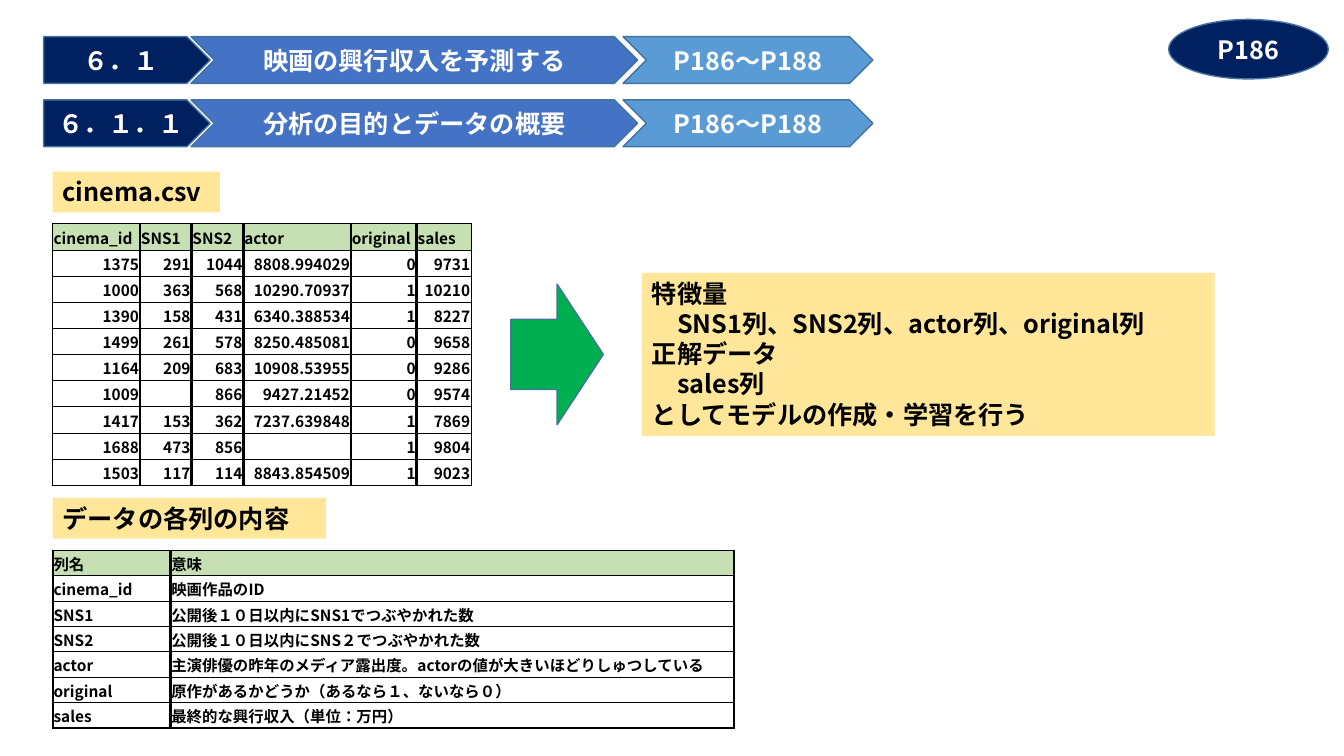
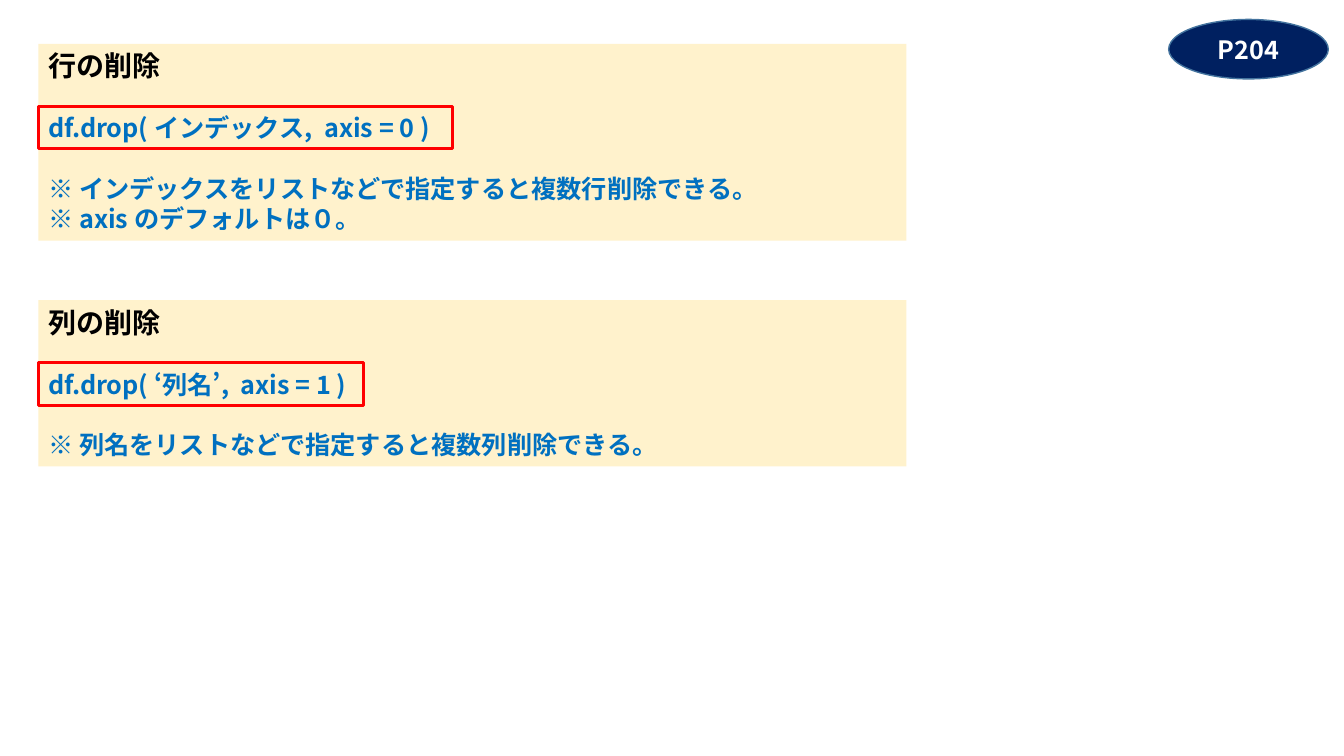
"""Build two slides on predicting film revenue and dropping DataFrame rows or columns."""
from dataclasses import dataclass

from lxml import etree
from pptx import Presentation
from pptx.dml.color import RGBColor
from pptx.enum.lang import MSO_LANGUAGE_ID
from pptx.enum.shapes import MSO_SHAPE
from pptx.enum.text import MSO_ANCHOR, PP_ALIGN
from pptx.oxml.ns import qn
from pptx.util import Pt

RECT, OVAL, ARROW = MSO_SHAPE.RECTANGLE, MSO_SHAPE.OVAL, MSO_SHAPE.RIGHT_ARROW
PLATE, CHEVRON = MSO_SHAPE.PENTAGON, MSO_SHAPE.CHEVRON
LEFT, CENTER, RIGHT = PP_ALIGN.LEFT, PP_ALIGN.CENTER, PP_ALIGN.RIGHT
TOP, MIDDLE = MSO_ANCHOR.TOP, MSO_ANCHOR.MIDDLE
JAPANESE = MSO_LANGUAGE_ID.JAPANESE


@dataclass(frozen=True)
class Theme:
    font: str = "Noto Sans CJK JP"
    black: str = "000000"
    white: str = "FFFFFF"
    navy: str = "002060"
    blue: str = "4472C4"
    sky: str = "5B9BD5"
    outline: str = "43739E"
    label: str = "FFE699"
    panel: str = "FFF2CC"
    header: str = "C6E0B4"
    green: str = "00B050"
    red: str = "FF0000"
    code: str = "0070C0"
    heading: int = 20
    body: int = 18
    cell: int = 11


T = Theme()


def add_text(p, text, size, color, align=LEFT):
    """Add one bold Japanese run to a paragraph."""
    p.alignment = align
    r = p.add_run()
    r.text = text
    r.font.size, r.font.bold, r.font.name = Pt(size), True, T.font
    r.font.language_id = JAPANESE
    r.font.color.rgb = RGBColor.from_string(color)
    etree.SubElement(r._r.get_or_add_rPr(), qn("a:ea"), typeface=T.font)


def add_box(s, kind, box, fill=None, line=None, weight=1, lines=(),
            color=T.black, align=LEFT, anchor=TOP):
    """Add a preset shape, with one body-size paragraph per line."""
    sp = s.shapes.add_shape(kind, *map(Pt, box))
    sp.shadow.inherit = False
    if fill:
        sp.fill.solid()
        sp.fill.fore_color.rgb = RGBColor.from_string(fill)
    else:
        sp.fill.background()
    if line:
        sp.line.color.rgb = RGBColor.from_string(line)
        sp.line.width = Pt(weight)
    else:
        sp.line.fill.background()
    tf = sp.text_frame
    tf.word_wrap, tf.vertical_anchor = True, anchor
    for i, text in enumerate(lines):
        p = tf.add_paragraph() if i else tf.paragraphs[0]
        add_text(p, text, T.body, color, align)
    return sp


prs = Presentation()
prs.slide_width, prs.slide_height = Pt(960), Pt(540)
slides = []
for page in ("P186", "P204"):
    s = prs.slides.add_slide(prs.slide_layouts[6])
    add_box(s, OVAL, (834.8, 13.9, 114, 42.5), T.navy, T.outline,
            lines=[page], color=T.white, align=CENTER, anchor=MIDDLE)
    slides.append(s)
overview, drops = slides

band_parts = [
    (PLATE, 31.2, 119, T.navy),
    (CHEVRON, 136.5, 319, T.blue),
    (CHEVRON, 445, 178.5, T.sky),
]
bands = [
    (26.2, ("６．１", "映画の興行収入を予測する", "P186～P188")),
    (71.4, ("６．１．１", "分析の目的とデータの概要", "P186～P188")),
]
for y, texts in bands:
    for (kind, x, w, fill), text in zip(band_parts, texts):
        add_box(overview, kind, (x, y, w, 33.4), fill, T.outline,
                lines=[text], color=T.white, align=CENTER, anchor=MIDDLE)

cinema_rows = [
    ("cinema_id", "SNS1", "SNS2", "actor", "original", "sales"),
    ("1375", "291", "1044", "8808.994029", "0", "9731"),
    ("1000", "363", "568", "10290.70937", "1", "10210"),
    ("1390", "158", "431", "6340.388534", "1", "8227"),
    ("1499", "261", "578", "8250.485081", "0", "9658"),
    ("1164", "209", "683", "10908.53955", "0", "9286"),
    ("1009", "", "866", "9427.21452", "0", "9574"),
    ("1417", "153", "362", "7237.639848", "1", "7869"),
    ("1688", "473", "856", "", "1", "9804"),
    ("1503", "117", "114", "8843.854509", "1", "9023"),
]
column_rows = [
    ("列名", "意味"),
    ("cinema_id", "映画作品のID"),
    ("SNS1", "公開後１０日以内にSNS1でつぶやかれた数"),
    ("SNS2", "公開後１０日以内にSNS２でつぶやかれた数"),
    ("actor", "主演俳優の昨年のメディア露出度。actorの値が大きいほどりしゅつしている"),
    ("original", "原作があるかどうか（あるなら１、ないなら０）"),
    ("sales", "最終的な興行収入（単位：万円）"),
]
tables = [
    (cinema_rows, 159.8, (62.4, 36.8, 37.1, 76.8, 47, 38.9), 18.7, RIGHT, 1, 0.5),
    (column_rows, 393.2, (84.1, 402.9), 18.11, LEFT, 1.5, 1.5),
]
for rows, y, widths, row_h, align, outer, bottom in tables:
    last_row, last_col = len(rows) - 1, len(widths) - 1
    table = overview.shapes.add_table(
        len(rows), len(widths), Pt(37.6), Pt(y), Pt(sum(widths)), Pt(row_h * len(rows))).table
    table.first_row = table.horz_banding = False
    for col, w in zip(table.columns, widths):
        col.width = Pt(w)
    for i, values in enumerate(rows):
        table.rows[i].height = Pt(row_h)
        for j, text in enumerate(values):
            cell = table.cell(i, j)
            cell.margin_left = cell.margin_right = cell.margin_top = Pt(0.7)
            cell.margin_bottom = Pt(0)
            cell.vertical_anchor = MIDDLE
            p = cell.text_frame.paragraphs[0]
            if text:
                add_text(p, text, T.cell, T.black, align if i else LEFT)
            else:
                etree.SubElement(p._p, qn("a:endParaRPr"), sz=str(T.cell * 100))
            edges = {
                "a:lnL": 2 if j else outer,
                "a:lnR": 2 if j < last_col else outer,
                "a:lnT": 0.5 if i else outer,
                "a:lnB": 0.5 if i < last_row else bottom,
            }
            tcPr = cell._tc.get_or_add_tcPr()
            for tag, weight in edges.items():
                ln = etree.SubElement(tcPr, qn(tag), w=str(Pt(weight)))
                etree.SubElement(etree.SubElement(ln, qn("a:solidFill")), qn("a:srgbClr"), val=T.black)
            if i:
                cell.fill.background()
            else:
                cell.fill.solid()
                cell.fill.fore_color.rgb = RGBColor.from_string(T.header)

add_box(overview, RECT, (37.6, 122.6, 119.5, 29.1), T.label, lines=["cinema.csv"])
add_box(overview, RECT, (37.6, 355.7, 195.2, 29.1), T.label, lines=["データの各列の内容"])
add_box(overview, ARROW, (365, 203, 66, 100.4), T.green, T.outline)
add_box(overview, RECT, (458.6, 195, 409, 116.4), T.label, lines=[
    "特徴量",
    "　SNS1列、SNS2列、actor列、original列",
    "正解データ",
    "　sales列",
    "としてモデルの作成・学習を行う",
])

panels = [
    (31.4, 140.6, 296, "行の削除", "df.drop( インデックス,  axis = 0 )",
     ["※ インデックスをリストなどで指定すると複数行削除できる。", "※ axis のデフォルトは０。"]),
    (214.4, 118.8, 232, "列の削除", "df.drop( ‘列名’,  axis = 1 )",
     ["※ 列名をリストなどで指定すると複数列削除できる。"]),
]
for y, h, code_w, title, code, notes in panels:
    sp = add_box(drops, RECT, (27.4, y, 620, h), T.panel)
    tf = sp.text_frame
    add_text(tf.paragraphs[0], title, T.heading, T.black)
    for i, text in enumerate([code, *notes]):
        p = tf.add_paragraph()
        p.space_before = Pt(21.6 if i < 2 else 0)
        add_text(p, text, T.body, T.code)
    add_box(drops, RECT, (27.4, y + 44.4, code_w, 30.6), line=T.red, weight=2.25)

prs.save("out.pptx")
